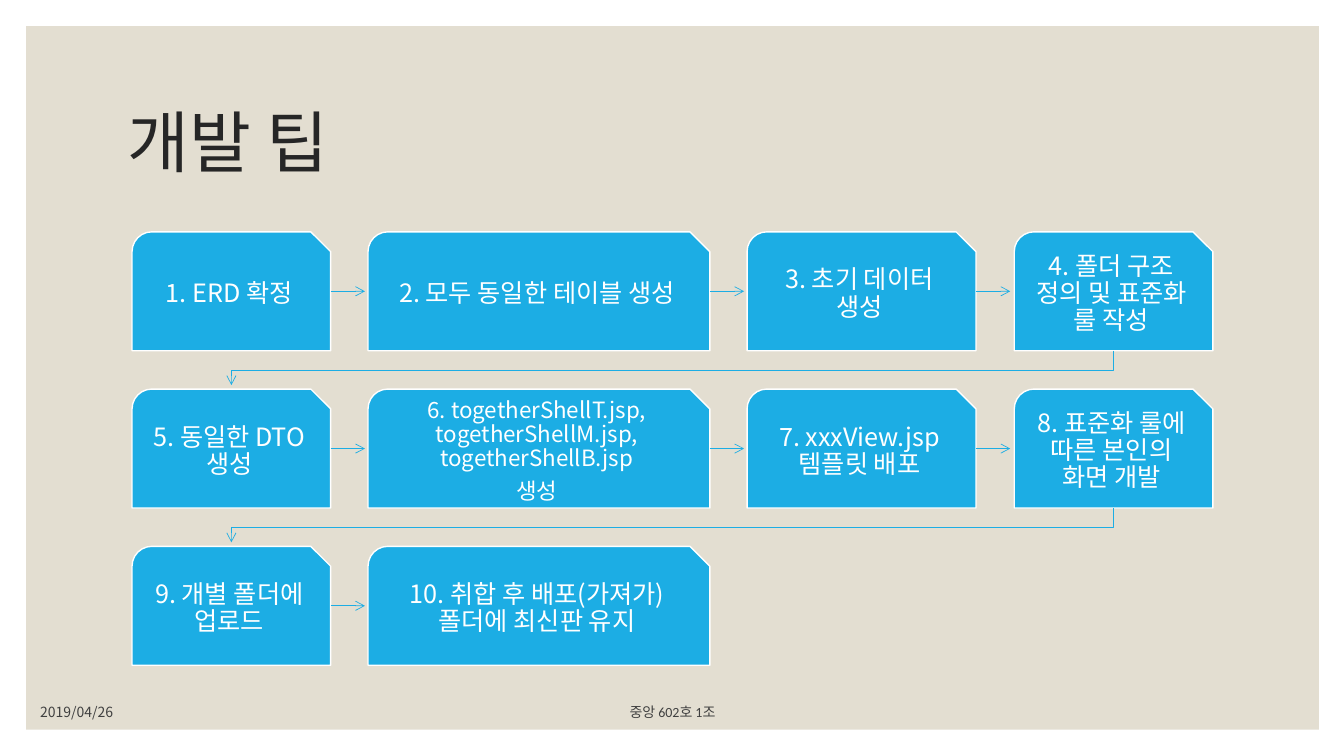
from lxml import etree
from pptx import Presentation
from pptx.dml.color import RGBColor
from pptx.enum.shapes import MSO_CONNECTOR, MSO_SHAPE
from pptx.enum.text import MSO_ANCHOR, PP_ALIGN
from pptx.oxml.ns import qn
from pptx.util import Inches, Pt

RECT, SNIP = MSO_SHAPE.RECTANGLE, MSO_SHAPE.SNIP_ROUND_RECTANGLE
STRAIGHT = MSO_CONNECTOR.STRAIGHT
LEFT, CENTER = PP_ALIGN.LEFT, PP_ALIGN.CENTER
MIDDLE, BOTTOM = MSO_ANCHOR.MIDDLE, MSO_ANCHOR.BOTTOM
LATIN, HANGUL = "Calibri", "Noto Sans CJK KR"
COLORS = {"panel": "E3DED1", "blue": "1CADE4", "white": "FFFFFF",
          "title": "262626", "foot": "404040"}
COLORS = {name: RGBColor.from_string(code) for name, code in COLORS.items()}


def write(shape, lines, size, color, face, align, anchor, **spacing):
    """Fill a shape with one paragraph per line."""
    frame = shape.text_frame
    frame.word_wrap = True
    frame.vertical_anchor = anchor
    for i, line in enumerate(lines):
        para = frame.paragraphs[0] if i == 0 else frame.add_paragraph()
        para.alignment = align
        for key, value in spacing.items():
            setattr(para, key, value)
        run = para.add_run()
        run.text = line
        run.font.size = Pt(size)
        run.font.name = face
        run.font.color.rgb = COLORS[color]
        east = etree.SubElement(run.font._element, qn("a:ea"))
        east.set("typeface", HANGUL)


def point(arrow):
    """Give a line its colour, width and open arrowhead, without a shadow."""
    arrow.line.color.rgb = COLORS["blue"]
    arrow.line.width = Pt(0.5)
    props = arrow._element.spPr
    tip = etree.SubElement(props.find(qn("a:ln")), qn("a:tailEnd"))
    tip.set("type", "arrow")
    if props.find(qn("a:effectLst")) is None:
        etree.SubElement(props, qn("a:effectLst"))


deck = Presentation()
deck.slide_width, deck.slide_height = Inches(13.33), Inches(7.5)
slide = deck.slides.add_slide(deck.slide_layouts[6])
shapes = slide.shapes

panel = shapes.add_shape(RECT, Inches(0.26), Inches(0.26), Inches(12.82), Inches(6.98))
panel.shadow.inherit = False
panel.fill.solid()
panel.fill.fore_color.rgb = COLORS["panel"]
panel.line.fill.background()

title = shapes.add_textbox(Inches(1.17), Inches(0.7), Inches(11), Inches(1.5))
write(title, ["개발 팁"], 48, "title", LATIN, LEFT, MIDDLE, line_spacing=0.9)

# Steps run left to right, then wrap to the next row
STEPS = [
    ["1. ERD 확정"],
    ["2. 모두 동일한 테이블 생성"],
    ["3. 초기 데이터 생성"],
    ["4. 폴더 구조 정의 및 표준화 룰 작성"],
    ["5. 동일한 DTO 생성"],
    ["6. togetherShellT.jsp, togetherShellM.jsp, togetherShellB.jsp", "생성"],
    ["7. xxxView.jsp 템플릿 배포"],
    ["8. 표준화 룰에 따른 본인의 화면 개발"],
    ["9. 개별 폴더에 업로드"],
    ["10. 취합 후 배포(가져가) 폴더에 최신판 유지"],
]
COLS = [(1.31, 1.97), (3.65, 3.39), (7.41, 2.27), (10.06, 1.97)]
TOP, PITCH, HIGH = 2.3, 1.56, 1.18
GAP = 0.34  # arrow length, just short of the next box

for i, lines in enumerate(STEPS):
    row, col = divmod(i, len(COLS))
    left, wide = COLS[col]
    top = TOP + row * PITCH
    box = shapes.add_shape(SNIP, Inches(left), Inches(top), Inches(wide), Inches(HIGH))
    box.shadow.inherit = False
    box.fill.solid()
    box.fill.fore_color.rgb = COLORS["blue"]
    box.line.color.rgb = COLORS["white"]
    box.line.width = Pt(1)
    size, inset = (18, 0.14) if len(lines) == 1 else (16, 0.12)
    for side in ("left", "top", "right", "bottom"):
        setattr(box.text_frame, f"margin_{side}", Inches(inset))
    write(box, lines, size, "white", HANGUL, CENTER, MIDDLE,
          line_spacing=0.9, space_after=Pt(6))

    if i == len(STEPS) - 1:
        continue
    if col < len(COLS) - 1:
        start, mid = left + wide, top + HIGH / 2
        arrow = shapes.add_connector(STRAIGHT, Inches(start), Inches(mid),
                                     Inches(start + GAP), Inches(mid))
    else:
        start, end = left + wide / 2, COLS[0][0] + COLS[0][1] / 2
        low = top + HIGH
        turn = low + 0.19
        path = shapes.build_freeform(Inches(start), Inches(low))
        path.add_line_segments(
            [(Inches(x), Inches(y))
             for x, y in ((start, turn), (end, turn), (end, low + GAP))],
            close=False)
        arrow = path.convert_to_shape()
        arrow.fill.background()
        arrow.shadow.inherit = False
    point(arrow)

FOOT = [("2019/04/26", 0.3, 3, HANGUL, LEFT),
        ("중앙 602호 1조", 3.82, 5.7, LATIN, CENTER)]
for text, left, wide, face, align in FOOT:
    note = shapes.add_textbox(Inches(left), Inches(6.9), Inches(wide), Inches(0.3))
    write(note, [text], 10, "foot", face, align, BOTTOM)

deck.save("out.pptx")
